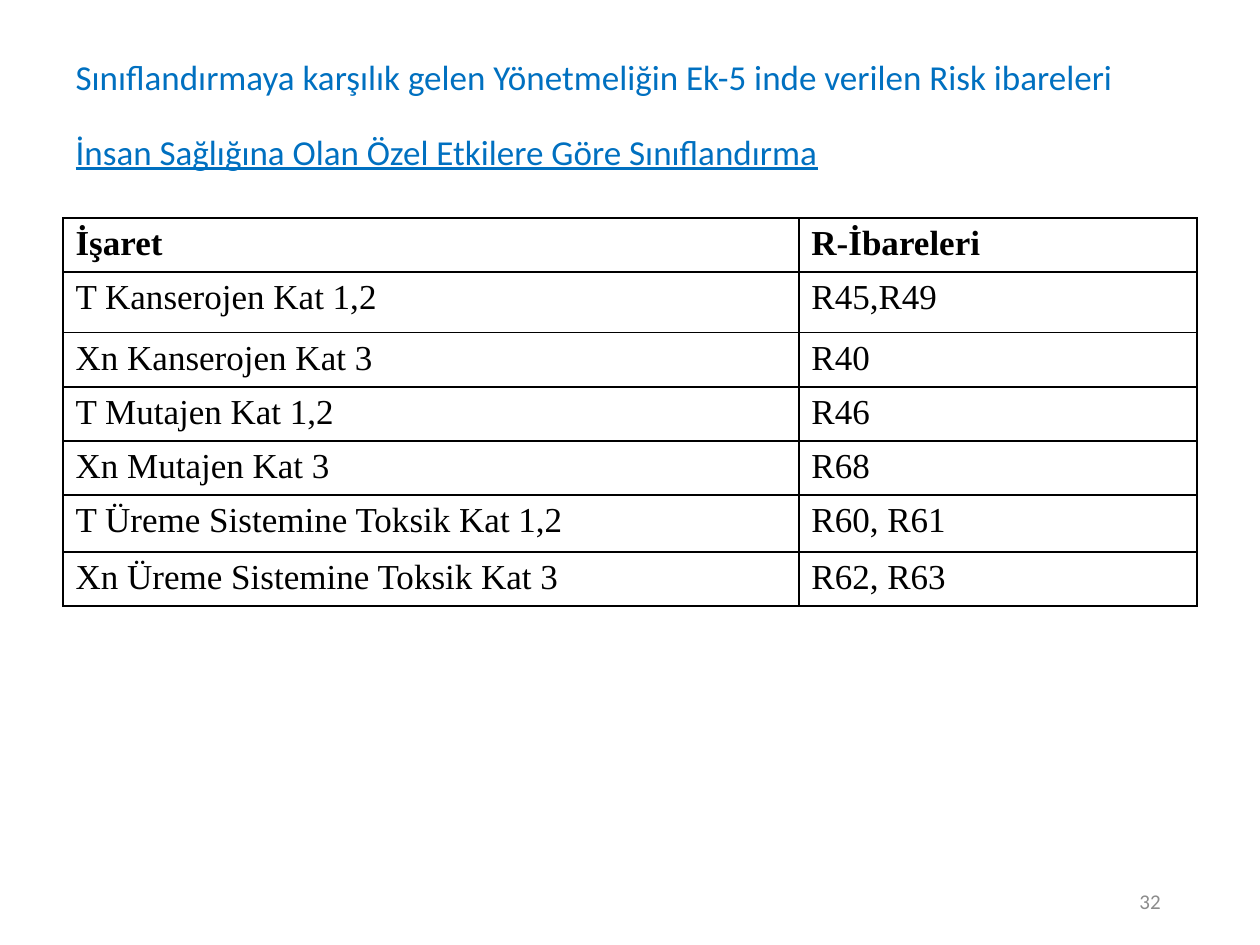
"""Build the slide listing risk phrases by health effect classification."""
from dataclasses import dataclass

from pptx import Presentation
from pptx.dml.color import RGBColor
from pptx.enum.text import MSO_ANCHOR, MSO_AUTO_SIZE, PP_ALIGN
from pptx.oxml.ns import qn
from pptx.util import Inches, Pt
from lxml.etree import SubElement


@dataclass(frozen=True)
class Theme:
    heading_font: str = "Calibri"
    table_font: str = "Times New Roman"
    heading_color: str = "0070C0"
    table_color: str = "000000"
    number_color: str = "8C8C8C"
    main_size: int = 20
    number_size: int = 12
    border_width: int = 1


THEME = Theme()
HEADINGS = [
    "Sınıflandırmaya karşılık gelen Yönetmeliğin Ek-5 inde verilen Risk ibareleri",
    "İnsan Sağlığına Olan Özel Etkilere Göre Sınıflandırma",
]
RISK_ROWS = [
    ("İşaret", "R-İbareleri"),
    ("T Kanserojen Kat 1,2", "R45,R49"),
    ("Xn Kanserojen Kat 3", "R40"),
    ("T Mutajen Kat 1,2", "R46"),
    ("Xn Mutajen Kat 3", "R68"),
    ("T Üreme Sistemine Toksik Kat 1,2", "R60, R61"),
    ("Xn Üreme Sistemine Toksik Kat 3", "R62, R63"),
]
COLUMN_WIDTHS = [5.84, 3.16]
ROW_HEIGHTS = [0.43, 0.48, 0.43, 0.43, 0.43, 0.45, 0.43]


def style_font(paragraph, name, size, color):
    paragraph.font.name = name
    paragraph.font.size = Pt(size)
    paragraph.font.color.rgb = RGBColor.from_string(color)


def place(shape, left, top, width, height):
    shape.left, shape.top = Inches(left), Inches(top)
    shape.width, shape.height = Inches(width), Inches(height)


def fill_title(title):
    place(title, 0.5, 0.3, 9, 1.25)
    frame = title.text_frame
    frame.text = "\n".join(HEADINGS)
    frame.auto_size = MSO_AUTO_SIZE.NONE
    frame.vertical_anchor = MSO_ANCHOR.MIDDLE
    for paragraph in frame.paragraphs:
        paragraph.alignment = PP_ALIGN.LEFT
        paragraph.line_spacing = 0.9
        style_font(paragraph, THEME.heading_font, THEME.main_size, THEME.heading_color)
    subtitle = frame.paragraphs[-1]
    subtitle.space_before = Pt(21)
    subtitle.font.underline = True


def add_borders(cell):
    properties = cell._tc.get_or_add_tcPr()
    for side in ("a:lnL", "a:lnR", "a:lnT", "a:lnB"):
        line = SubElement(properties, qn(side), w=str(Pt(THEME.border_width)))
        color_fill = SubElement(line, qn("a:solidFill"))
        SubElement(color_fill, qn("a:srgbClr"), val=THEME.table_color)


def fill_cell(cell, text, bold):
    cell.text = text
    add_borders(cell)
    cell.fill.background()
    paragraph = cell.text_frame.paragraphs[0]
    indents = paragraph._p.get_or_add_pPr()
    indents.set("marL", str(Inches(0.38)))
    indents.set("indent", str(Inches(-0.38)))
    style_font(paragraph, THEME.table_font, THEME.main_size, THEME.table_color)
    paragraph.font.bold = bold


def add_risk_table(slide):
    risk_table = slide.shapes.add_table(
        len(RISK_ROWS), len(COLUMN_WIDTHS), Inches(0.5), Inches(1.73),
        Inches(sum(COLUMN_WIDTHS)), Inches(sum(ROW_HEIGHTS)),
    ).table
    risk_table.horz_banding = False
    for column, width in zip(risk_table.columns, COLUMN_WIDTHS):
        column.width = Inches(width)
    for index, (row, height) in enumerate(zip(risk_table.rows, ROW_HEIGHTS)):
        row.height = Inches(height)
        for cell, text in zip(row.cells, RISK_ROWS[index]):
            fill_cell(cell, text, bold=index == 0)


def add_page_number(slide, number):
    page_number = slide.shapes.add_textbox(
        Inches(7.06), Inches(6.95), Inches(2.25), Inches(0.4))
    frame = page_number.text_frame
    frame.word_wrap = True
    frame.vertical_anchor = MSO_ANCHOR.MIDDLE
    frame.text = number
    paragraph = frame.paragraphs[0]
    paragraph.alignment = PP_ALIGN.RIGHT
    style_font(paragraph, THEME.heading_font, THEME.number_size, THEME.number_color)


def main():
    presentation = Presentation()
    presentation.slide_width, presentation.slide_height = Inches(10), Inches(7.5)
    slide = presentation.slides.add_slide(presentation.slide_layouts[5])
    fill_title(slide.shapes.title)
    add_risk_table(slide)
    add_page_number(slide, "32")
    presentation.save("out.pptx")


if __name__ == "__main__":
    main()
